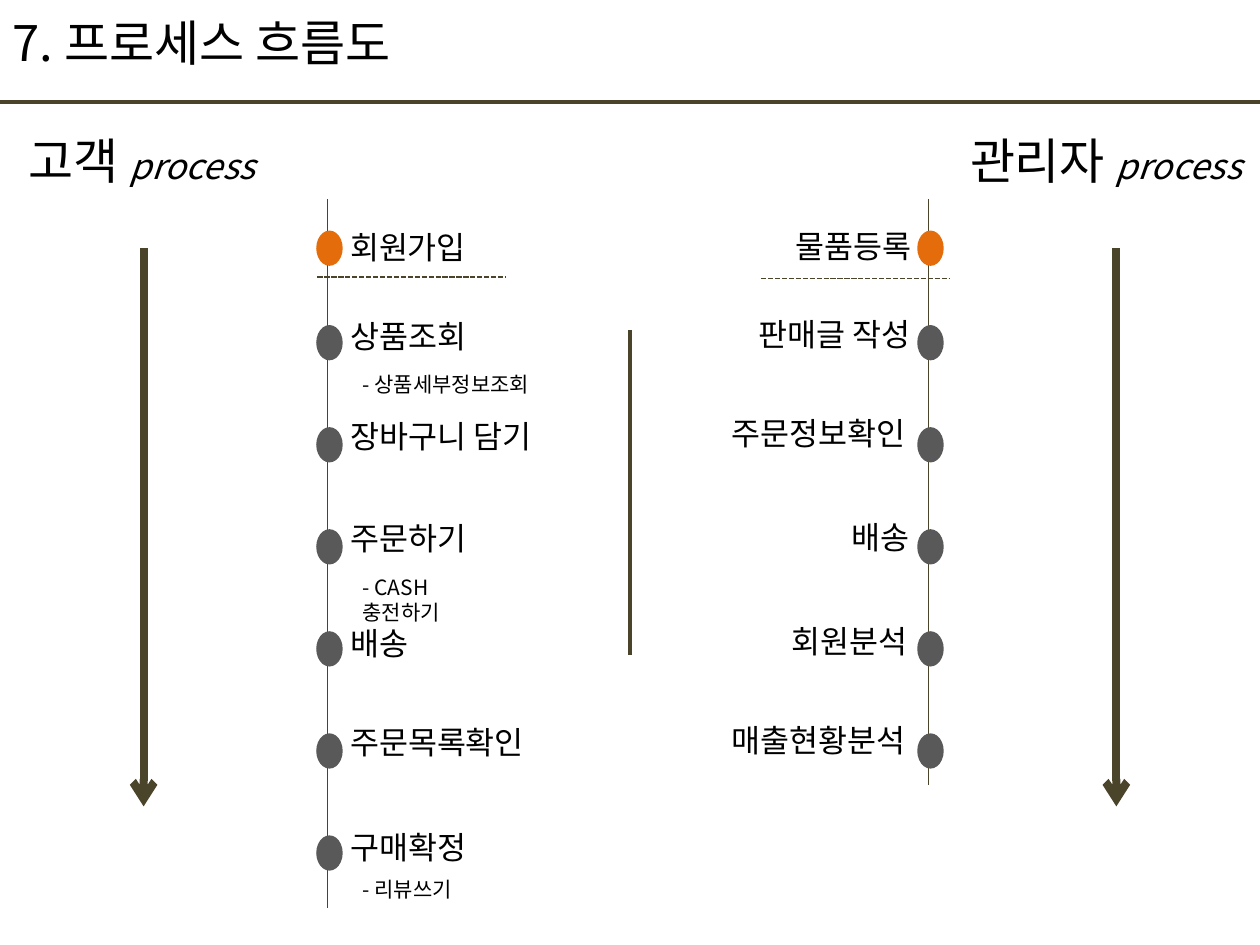
from lxml.etree import SubElement
from pptx import Presentation
from pptx.dml.color import RGBColor
from pptx.enum.dml import MSO_LINE
from pptx.enum.shapes import MSO_CONNECTOR, MSO_SHAPE
from pptx.enum.text import MSO_ANCHOR, PP_ALIGN
from pptx.oxml.ns import qn
from pptx.util import Inches, Pt

FONT = "Noto Sans CJK KR"
BLACK, OLIVE, ORANGE, GRAY = "000000", "4A452A", "E46C0A", "595959"
DOT_WIDTH, DOT_HEIGHT = 0.21, 0.28
FIRST_DOT_TOP, SECOND_DOT_TOP, DOT_STEP = 1.83, 2.58, 0.81

TITLE = "7. 프로세스 흐름도"
HEADINGS = [("고객 ", 0.13, 2), ("관리자 ", 7.6, 2.39)]
TIMELINES = [
    {
        "axis": 2.6, "bottom": 7.21, "dash": (2.52, 2.2),
        "steps": [
            ("회원가입", 2.68, 1.76, 1.2), ("상품조회", 2.68, 2.47, 1.15),
            ("장바구니 담기", 2.68, 3.26, 1.69), ("주문하기", 2.68, 4.07, 1.15),
            ("배송", 2.68, 4.9, 0.68), ("주문목록확인", 2.68, 5.69, 1.62),
            ("구매확정", 2.68, 6.52, 1.15),
        ],
    },
    {
        "axis": 7.37, "bottom": 6.23, "dash": (6.04, 2.21),
        "steps": [
            ("물품등록", 6.13, 1.75, 1.2), ("판매글 작성", 5.92, 2.45, 1.46),
            ("주문정보확인", 5.71, 3.24, 1.62), ("배송", 6.66, 4.06, 0.68),
            ("회원분석", 6.18, 4.89, 1.15), ("매출현황분석", 5.71, 5.67, 1.62),
        ],
    },
]
DETAILS = [
    ("- 상품세부정보조회", 2.9, 1.59, False),
    ("- CASH 충전하기", 4.51, 1.3, True),
    ("- 리뷰쓰기", 6.91, 0.95, False),
]
ARROW_CENTERS = (1.14, 8.86)


def color(value):
    """Turn a hex string into a colour."""
    return RGBColor.from_string(value)


def style_span(span, size, italic=None):
    """Set the Latin and East Asian font, size and colour of a run."""
    font = span.font
    font.name, font.size, font.italic = FONT, Pt(size), italic
    font.color.rgb = color(BLACK)
    SubElement(font._element, qn("a:ea")).set("typeface", FONT)


def add_text(shapes, text, left, top, width, height, size, wrap=False):
    """Add a text box with one paragraph and return the paragraph."""
    box = shapes.add_textbox(Inches(left), Inches(top), Inches(width), Inches(height))
    box.text_frame.word_wrap = wrap
    para = box.text_frame.paragraphs[0]
    para.text = text
    style_span(para.runs[0], size)
    return para


def add_line(shapes, start, end, width, dash=None, arrow=False):
    """Add a straight olive line without a shadow."""
    line = shapes.add_connector(
        MSO_CONNECTOR.STRAIGHT, *(Inches(value) for value in (*start, *end)))
    line.line.color.rgb = color(OLIVE)
    line.line.width = Pt(width)
    if dash:
        line.line.dash_style = dash
    if arrow:
        SubElement(line.line._get_or_add_ln(), qn("a:tailEnd")).set("type", "arrow")
    SubElement(line._element.spPr, qn("a:effectLst"))


def add_timeline(page, timeline):
    """Group an axis with its dots, labels and dashed divider."""
    shapes = page.shapes.add_group_shape().shapes
    axis = timeline["axis"]
    add_line(shapes, (axis, 1.58), (axis, timeline["bottom"]), 1)
    for index, (label, left, top, width) in enumerate(timeline["steps"]):
        dot_top = SECOND_DOT_TOP + (index - 1) * DOT_STEP if index else FIRST_DOT_TOP
        dot = shapes.add_shape(
            MSO_SHAPE.OVAL, Inches(axis - 0.09), Inches(dot_top),
            Inches(DOT_WIDTH), Inches(DOT_HEIGHT))
        dot.shadow.inherit = False
        dot.fill.solid()
        dot.fill.fore_color.rgb = color(GRAY if index else ORANGE)
        dot.line.fill.background()
        para = add_text(shapes, label, left, top, width, 0.4, 18)
        if label == "물품등록":
            para.alignment = PP_ALIGN.RIGHT
    left, top = timeline["dash"]
    add_line(shapes, (left, top), (left + 1.5, top), 1, MSO_LINE.SQUARE_DOT)


def main():
    """Build the process flow slide."""
    deck = Presentation()
    deck.slide_width, deck.slide_height = Inches(10), Inches(7.5)
    page = deck.slides.add_slide(deck.slide_layouts[5])

    title = page.shapes.title
    title.left, title.top = Inches(0), Inches(0.05)
    title.width, title.height = Inches(3.46), Inches(0.57)
    title.text_frame.text = TITLE
    title.text_frame.word_wrap = False
    title.text_frame.vertical_anchor = MSO_ANCHOR.TOP
    para = title.text_frame.paragraphs[0]
    para.alignment = PP_ALIGN.LEFT
    style_span(para.runs[0], 28)
    add_line(page.shapes, (0, 0.81), (10, 0.81), 2.25)

    for heading, left, width in HEADINGS:
        para = add_text(page.shapes, heading, left, 0.99, width, 0.57, 28)
        span = para.add_run()
        span.text = "process"
        style_span(span, 20, italic=True)
    for timeline in TIMELINES:
        add_timeline(page, timeline)
    for detail, top, width, wrap in DETAILS:
        add_text(page.shapes, detail, 2.78, top, width, 0.3, 12, wrap)
    for center in ARROW_CENTERS:
        add_line(page.shapes, (center, 1.97), (center, 6.4), 4.5, arrow=True)
    add_line(page.shapes, (5, 2.62), (5, 5.2), 2.25)

    deck.save("out.pptx")


if __name__ == "__main__":
    main()
